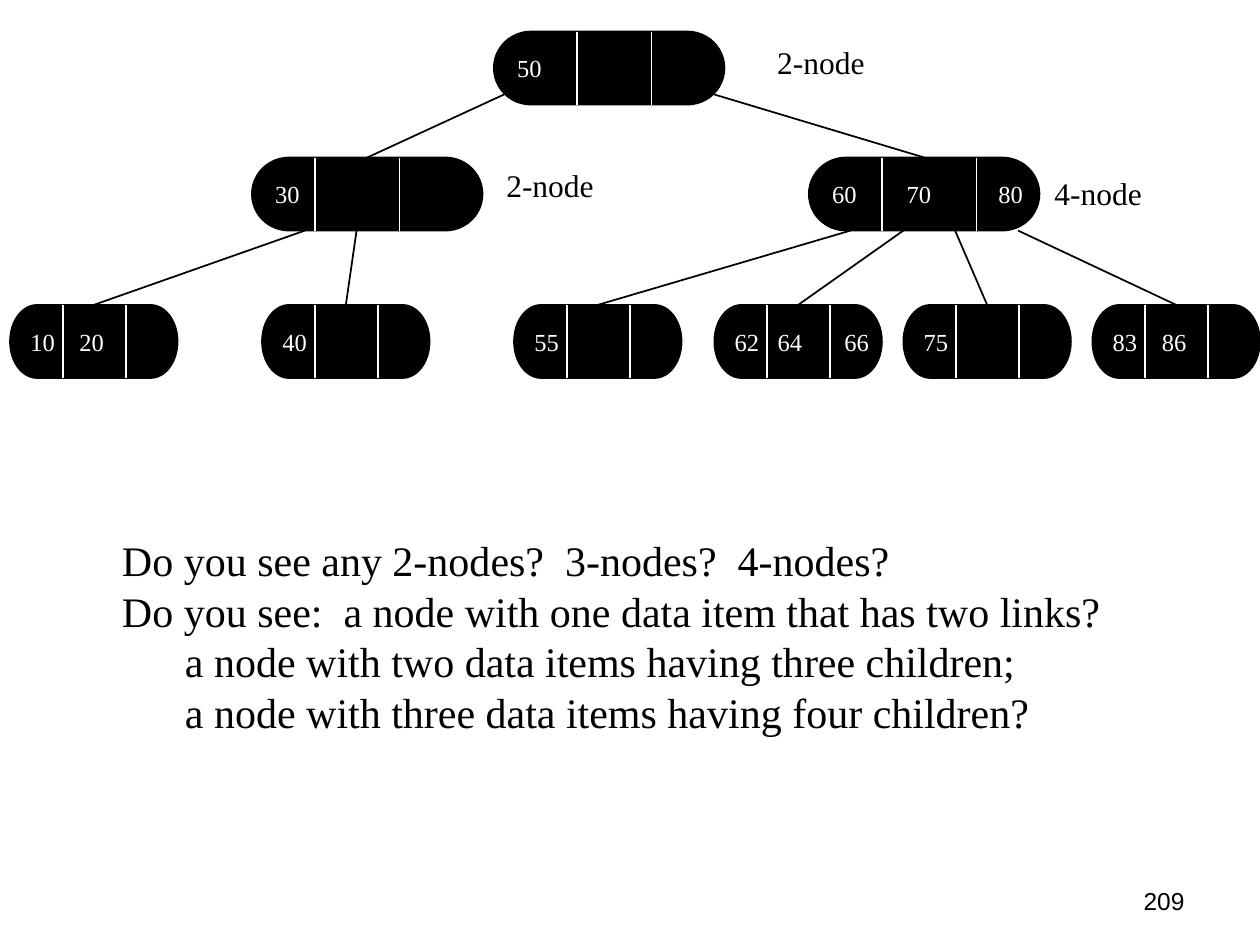
from lxml.etree import SubElement
from pptx import Presentation
from pptx.dml.color import RGBColor
from pptx.enum.shapes import MSO_CONNECTOR, MSO_SHAPE
from pptx.enum.text import MSO_ANCHOR, PP_ALIGN
from pptx.oxml.ns import qn
from pptx.util import Inches, Pt

COLORS = {"ink": "000000", "paper": "FFFFFF"}
SERIF = "Times New Roman"
NODE_HEIGHT = 0.58
LEAF_TOP, LEAF_WIDTH, LEAF_DIVIDERS = 2.42, 1.33, (0.42, 0.92)


def write(frame, lines, size, color, font=SERIF):
    frame.text = "\n".join(lines)
    for paragraph in frame.paragraphs:
        paragraph.alignment = PP_ALIGN.LEFT
        paragraph.font.name = font
        paragraph.font.size = Pt(size)
        paragraph.font.color.rgb = RGBColor.from_string(COLORS[color])


def draw_line(x1, y1, x2, y2, color):
    line = slide.shapes.add_connector(
        MSO_CONNECTOR.STRAIGHT, Inches(x1), Inches(y1), Inches(x2), Inches(y2))
    line.line.color.rgb = RGBColor.from_string(COLORS[color])
    line.line.width = Pt(1)
    SubElement(line._element.spPr, qn("a:effectLst"))
    return line


prs = Presentation()
prs.slide_width, prs.slide_height = Inches(10), Inches(7.5)
slide = prs.slides.add_slide(prs.slide_layouts[6])

tree = [
    (3.92, 0.25, 1.83, (0.66, 1.25), ["50"], []),
    (2, 1.25, 1.83, (0.5, 1.17), ["30"], []),
    (6.42, 1.25, 1.83, (0.58, 1.33), ["60", "70", "80"], [0.59, 1.32]),
]
leaves = [
    (0.08, ["10", "20"], [0.39]),
    (2.08, ["40"], []),
    (4.08, ["55"], []),
    (5.67, ["62", "64", "66"], [0.34, 0.87]),
    (7.17, ["75"], []),
    (8.67, ["83", "86"], [0.39]),
]
tree += [(left, LEAF_TOP, LEAF_WIDTH, LEAF_DIVIDERS, keys, tabs)
         for left, keys, tabs in leaves]

nodes = {}
for left, top, width, dividers, keys, tabs in tree:
    node = slide.shapes.add_shape(
        MSO_SHAPE.FLOWCHART_TERMINATOR, Inches(left), Inches(top),
        Inches(width), Inches(NODE_HEIGHT))
    node.shadow.inherit = False
    node.fill.solid()
    node.fill.fore_color.rgb = RGBColor.from_string(COLORS["ink"])
    node.line.color.rgb = RGBColor.from_string(COLORS["ink"])
    node.line.width = Pt(1)
    frame = node.text_frame
    frame.word_wrap = True
    frame.margin_right = 0
    frame.vertical_anchor = MSO_ANCHOR.MIDDLE
    write(frame, ["\t".join(keys)], 14, "paper")
    if tabs:
        properties = frame.paragraphs[0]._p.get_or_add_pPr()
        tab_list = properties.makeelement(qn("a:tabLst"), {})
        properties.insert(0, tab_list)
        for stop in tabs:
            SubElement(tab_list, qn("a:tab"), pos=str(Inches(stop)), algn="l")
    for offset in dividers:
        draw_line(left + offset, top, left + offset, top + NODE_HEIGHT, "paper")
    nodes[keys[0]] = node

links = [
    (4, 0.75, "30"), (5.67, 0.75, "60"),
    (2.42, 1.83, "10"), (2.83, 1.83, "40"),
    (6.75, 1.83, "55"), (7.17, 1.83, "62"),
    (7.58, 1.83, "75"), (8.08, 1.83, "83"),
]
for x, y, child in links:
    link = draw_line(x, y, x, y + 0.5, "ink")
    link.end_connect(nodes[child], 0)

for left, top, label in [(6.07, 0.29, "2-node"), (3.92, 1.27, "2-node"), (8.27, 1.33, "4-node")]:
    caption = slide.shapes.add_textbox(Inches(left), Inches(top), Inches(0.9), Inches(0.4))
    caption.text_frame.word_wrap = False
    write(caption.text_frame, [label], 18, "ink")

questions = slide.shapes.add_textbox(Inches(0.87), Inches(4.19), Inches(8.13), Inches(2.9))
questions.text_frame.word_wrap = True
write(questions.text_frame, [
    "Do you see any 2-nodes?  3-nodes?  4-nodes?",
    "Do you see:  a node with one data item that has two links?",
    "\ta node with two data items having three children;",
    "\ta node with three data items having four children?",
], 24, "ink")
for paragraph in questions.text_frame.paragraphs:
    paragraph.line_spacing = Pt(29)

page_number = slide.shapes.add_textbox(Inches(7.17), Inches(6.95), Inches(2.33), Inches(0.4))
page_number.text_frame.word_wrap = True
page_number.text_frame.vertical_anchor = MSO_ANCHOR.MIDDLE
write(page_number.text_frame, ["209"], 14, "ink", "Arial")
page_number.text_frame.paragraphs[0].alignment = PP_ALIGN.RIGHT

prs.save("out.pptx")
